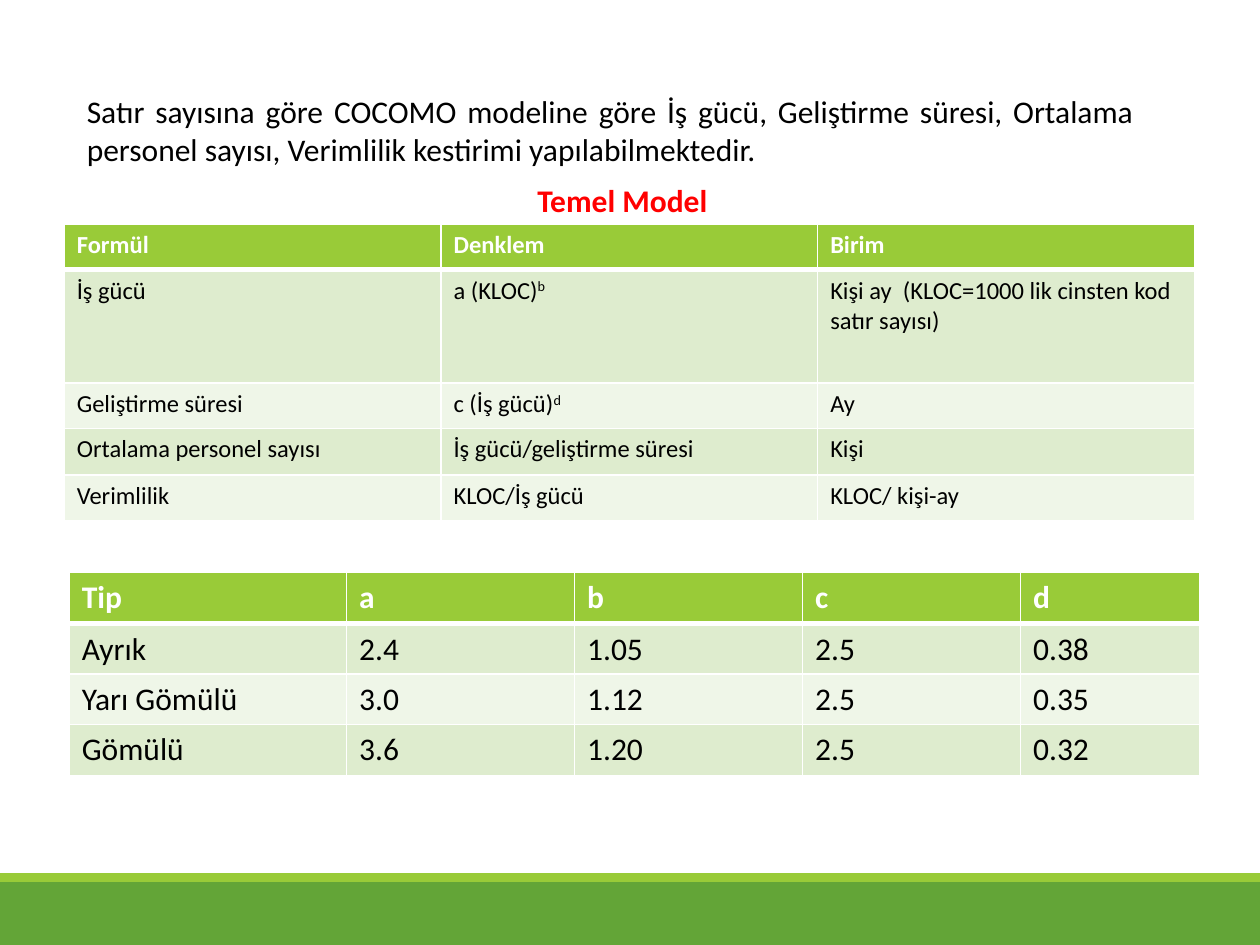
import dataclasses

import lxml.etree
import pptx
import pptx.dml.color
import pptx.enum.shapes
import pptx.enum.text
import pptx.oxml.ns
import pptx.shapes.autoshape
import pptx.slide
import pptx.table
import pptx.text.text
import pptx.util

Inches = pptx.util.Inches
Align = pptx.enum.text.PP_ALIGN
qn = pptx.oxml.ns.qn

COLORS = {
    "band": "63A537",
    "accent": "99CB38",
    "odd_row": "DEECCE",
    "even_row": "EFF6E8",
    "white": "FFFFFF",
    "black": "000000",
    "red": "FF0000",
}
FONT = "Calibri"


@dataclasses.dataclass(frozen=True)
class Band:
    top: float
    height: float
    color: str


@dataclasses.dataclass(frozen=True)
class Grid:
    left: float
    top: float
    widths: list[float]
    heights: list[float]
    size: int
    rows: list[list[str]]


BANDS = [Band(7, 0.5, "band"), Band(6.93, 0.07, "accent")]

FORMULAS = Grid(
    0.51, 1.78, [2.99] * 3, [0.36, 0.9, 0.36, 0.37, 0.36], 14,
    [
        ["Formül", "Denklem", "Birim"],
        ["İş gücü", "a (KLOC)^b", "Kişi ay  (KLOC=1000 lik cinsten kod satır sayısı)"],
        ["Geliştirme süresi", "c (İş gücü)^d", "Ay"],
        ["Ortalama personel sayısı", "İş gücü/geliştirme süresi", "Kişi"],
        ["Verimlilik", "KLOC/İş gücü", "KLOC/ kişi-ay"],
    ],
)
COEFFICIENTS = Grid(
    0.55, 4.54, [2.2, 1.81, 1.81, 1.73, 1.42], [0.41, 0.4, 0.4, 0.41], 18,
    [
        ["Tip", "a", "b", "c", "d"],
        ["Ayrık", "2.4", "1.05", "2.5", "0.38"],
        ["Yarı Gömülü", "3.0", "1.12", "2.5", "0.35"],
        ["Gömülü", "3.6", "1.20", "2.5", "0.32"],
    ],
)


def rgb(color: str) -> pptx.dml.color.RGBColor:
    return pptx.dml.color.RGBColor.from_string(COLORS[color])


def write(frame: pptx.text.text.TextFrame, text: str, *, size: int = 18,
          color: str = "black", bold: bool = False,
          align: Align = Align.LEFT) -> None:
    """Write one paragraph; whatever follows a ^ is superscript."""
    frame.word_wrap = True
    paragraph = frame.paragraphs[0]
    paragraph.alignment = align
    for index, part in enumerate(text.split("^")):
        run = paragraph.add_run()
        run.text = part
        run.font.name = FONT
        run.font.size = pptx.util.Pt(size)
        run.font.bold = bold
        run.font.color.rgb = rgb(color)
        if index:
            run._r.get_or_add_rPr().set("baseline", "30000")


def place(shape: pptx.shapes.autoshape.Shape, left: float, top: float,
          width: float, height: float) -> None:
    shape.left, shape.top = Inches(left), Inches(top)
    shape.width, shape.height = Inches(width), Inches(height)


def add_band(slide: pptx.slide.Slide, band: Band) -> None:
    shape = slide.shapes.add_shape(
        pptx.enum.shapes.MSO_SHAPE.RECTANGLE,
        0, Inches(band.top), Inches(10), Inches(band.height))
    shape.shadow.inherit = False
    shape.fill.solid()
    shape.fill.fore_color.rgb = rgb(band.color)
    shape.line.fill.background()


def add_borders(cell: pptx.table._Cell, row: int) -> None:
    """Rule the cell in white, thicker between header and first row."""
    points = {"lnL": 1, "lnR": 1, "lnT": 3 if row == 1 else 1, "lnB": 3 if row == 0 else 1}
    properties = cell._tc.get_or_add_tcPr()
    for side, width in points.items():
        line = lxml.etree.SubElement(properties, qn(f"a:{side}"), w=str(pptx.util.Pt(width)))
        fill = lxml.etree.SubElement(line, qn("a:solidFill"))
        lxml.etree.SubElement(fill, qn("a:srgbClr"), val=COLORS["white"])


def add_grid(slide: pptx.slide.Slide, grid: Grid) -> None:
    table = slide.shapes.add_table(
        len(grid.heights), len(grid.widths), Inches(grid.left), Inches(grid.top),
        Inches(sum(grid.widths)), Inches(sum(grid.heights))).table
    for column, width in zip(table.columns, grid.widths):
        column.width = Inches(width)
    for row, (height, texts) in enumerate(zip(grid.heights, grid.rows)):
        table.rows[row].height = Inches(height)
        header = row == 0
        background = "accent" if header else "odd_row" if row % 2 else "even_row"
        for column, text in enumerate(texts):
            cell = table.cell(row, column)
            add_borders(cell, row)
            cell.fill.solid()
            cell.fill.fore_color.rgb = rgb(background)
            write(cell.text_frame, text, size=grid.size, bold=header,
                  color="white" if header else "black")


def main() -> None:
    presentation = pptx.Presentation()
    presentation.slide_width, presentation.slide_height = Inches(10), Inches(7.5)
    slide = presentation.slides.add_slide(presentation.slide_layouts.get_by_name("Title Only"))

    for band in BANDS:
        add_band(slide, band)

    introduction = slide.shapes.add_textbox(
        Inches(0.59), Inches(0.68), Inches(8.51), Inches(0.71))
    write(introduction.text_frame,
          "Satır sayısına göre COCOMO modeline göre İş gücü, Geliştirme süresi, "
          "Ortalama personel sayısı, Verimlilik kestirimi yapılabilmektedir.",
          align=Align.JUSTIFY)

    add_grid(slide, FORMULAS)
    add_grid(slide, COEFFICIENTS)

    model_title = slide.shapes.title
    place(model_title, 0.55, 1.39, 8.78, 0.4)
    model_title.text_frame.auto_size = pptx.enum.text.MSO_AUTO_SIZE.NONE
    model_title.text_frame.vertical_anchor = pptx.enum.text.MSO_ANCHOR.TOP
    write(model_title.text_frame, "Temel Model", color="red", bold=True, align=Align.CENTER)

    presentation.save("out.pptx")


if __name__ == "__main__":
    main()
